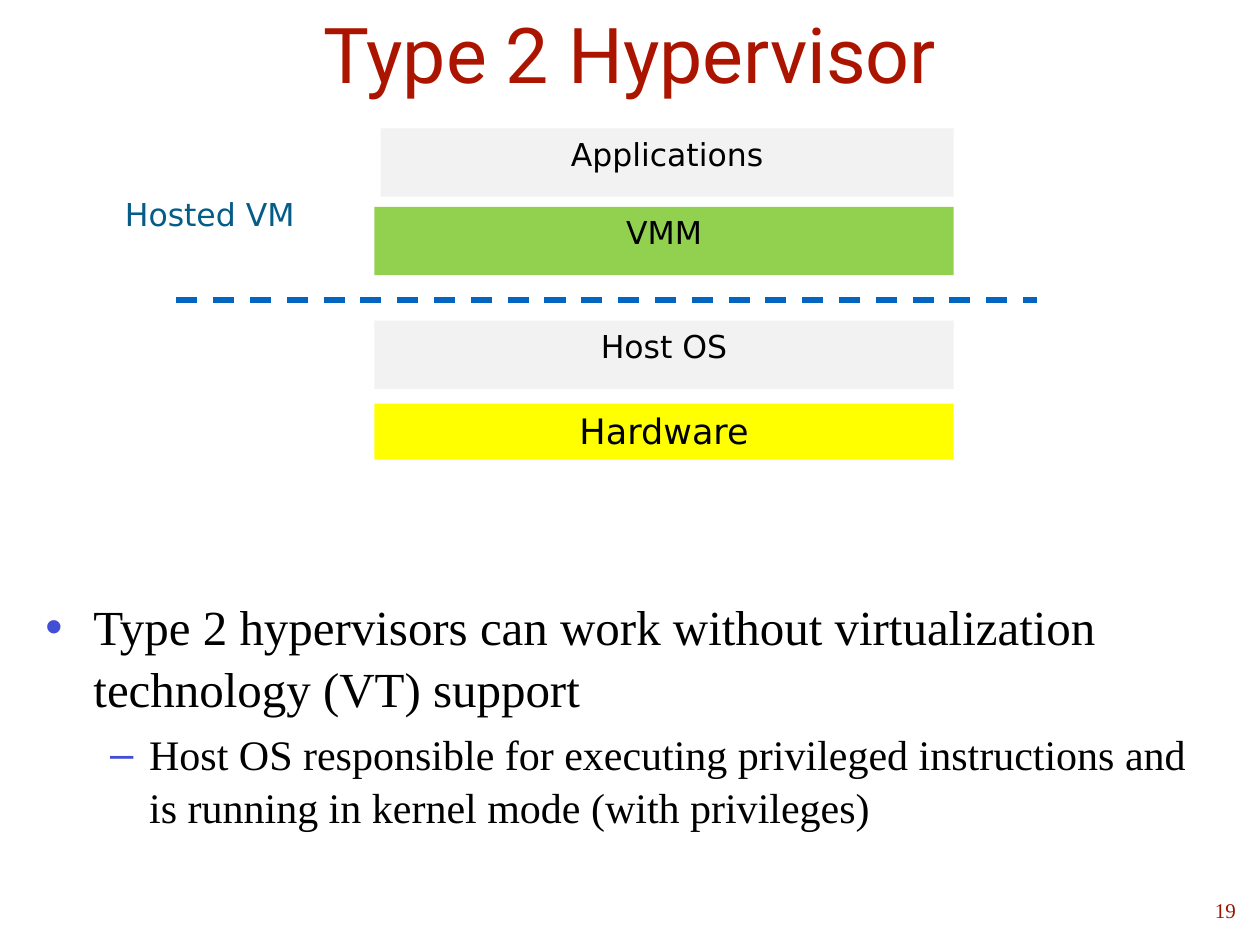
from typing import NamedTuple

from lxml.etree import SubElement
from pptx import Presentation
from pptx.dml.color import RGBColor
from pptx.enum.dml import MSO_LINE
from pptx.enum.shapes import MSO_CONNECTOR, MSO_SHAPE
from pptx.enum.text import MSO_ANCHOR as ANCHOR, MSO_AUTO_SIZE as AUTO_SIZE, PP_ALIGN as ALIGN
from pptx.oxml.ns import qn
from pptx.util import Pt

BLACK = RGBColor(0x00, 0x00, 0x00)
TITLE_RED = RGBColor(0xAB, 0x15, 0x00)
NUMBER_RED = RGBColor(0x9E, 0x13, 0x00)
BULLET_BLUE = RGBColor(0x43, 0x4E, 0xD6)
LABEL_BLUE = RGBColor(0x04, 0x5C, 0x87)
LINE_BLUE = RGBColor(0x03, 0x65, 0xC0)
GREY = RGBColor(0xF2, 0xF2, 0xF2)
GREEN = RGBColor(0x92, 0xD0, 0x50)
YELLOW = RGBColor(0xFF, 0xFF, 0x00)

SANS, SERIF, TITLE_FONT = "DejaVu Sans", "Times New Roman", "Roboto"
INSET = 4.5
STACK_RIGHT = 545


class Layer(NamedTuple):
    text: str
    left: float
    top: float
    height: float
    fill: RGBColor
    size: float = 18


class Bullet(NamedTuple):
    text: str
    level: int
    char: str
    size: float
    margin: float
    indent: float
    before: float


LAYERS = [
    Layer("Applications", 217.5, 73.4, 39, GREY),
    Layer("VMM", 214, 118.2, 39, GREEN),
    Layer("Host OS", 214, 183.2, 39, GREY),
    Layer("Hardware", 214, 230.6, 32, YELLOW, 20),
]
BULLETS = [
    Bullet("Type 2 hypervisors can work without virtualization technology (VT) support",
           0, "•", 28, 30.2, -27.4, 0),
    Bullet("Host OS responsible for executing privileged instructions and "
           "is running in kernel mode (with privileges)",
           1, "–", 24, 62, -22.3, 5),
]


def write(p, text: str, *, size: float, font: str, color: RGBColor, align=ALIGN.CENTER) -> None:
    p.alignment = align
    r = p.add_run()
    r.text = text
    r.font.size, r.font.name = Pt(size), font
    r.font.color.rgb = color


def set_frame(tf, inset: float, anchor=ANCHOR.TOP, wrap: bool = True) -> None:
    tf.auto_size = AUTO_SIZE.NONE
    tf.word_wrap = wrap
    tf.vertical_anchor = anchor
    tf.margin_left = tf.margin_right = tf.margin_top = tf.margin_bottom = Pt(inset)


def place(sp, left: float, top: float, width: float, height: float) -> None:
    sp.left, sp.top, sp.width, sp.height = Pt(left), Pt(top), Pt(width), Pt(height)


def add_layer(shapes, layer: Layer) -> None:
    sp = shapes.add_shape(MSO_SHAPE.RECTANGLE, Pt(layer.left), Pt(layer.top),
                          Pt(STACK_RIGHT - layer.left), Pt(layer.height))
    sp.shadow.inherit = False
    sp.fill.solid()
    sp.fill.fore_color.rgb = layer.fill
    sp.line.fill.background()
    tf = sp.text_frame
    set_frame(tf, 3.6)
    write(tf.paragraphs[0], layer.text, size=layer.size, font=SANS, color=BLACK)


def add_label(shapes, text: str, box: tuple[float, float, float, float], *,
              inset: float, wrap: bool, **fmt) -> None:
    tf = shapes.add_textbox(*map(Pt, box)).text_frame
    set_frame(tf, inset, wrap=wrap)
    write(tf.paragraphs[0], text, **fmt)


def add_divider(shapes, left: float, right: float, y: float) -> None:
    line = shapes.add_connector(MSO_CONNECTOR.STRAIGHT, Pt(left), Pt(y), Pt(right), Pt(y))
    line.line.color.rgb = LINE_BLUE
    line.line.width = Pt(3)
    line.line.dash_style = MSO_LINE.DASH
    SubElement(line._element.spPr, qn("a:effectLst"))


def write_bullet(p, bullet: Bullet) -> None:
    p.level = bullet.level
    pPr = p._p.get_or_add_pPr()
    pPr.set("marL", str(Pt(bullet.margin)))
    pPr.set("indent", str(Pt(bullet.indent)))
    color = SubElement(pPr, qn("a:buClr"))
    SubElement(color, qn("a:srgbClr"), val=str(BULLET_BLUE))
    SubElement(pPr, qn("a:buChar"), char=bullet.char)
    p.line_spacing = 1.05
    p.space_before = Pt(bullet.before)
    write(p, bullet.text, size=bullet.size, font=SERIF, color=BLACK, align=ALIGN.LEFT)


def main() -> None:
    prs = Presentation()
    prs.slide_width, prs.slide_height = Pt(720), Pt(540)
    s = prs.slides.add_slide(prs.slide_layouts[1])
    title, body = s.placeholders

    place(title, 0, 0, 720, 60.5)
    set_frame(title.text_frame, INSET, ANCHOR.MIDDLE)
    write(title.text_frame.paragraphs[0], "Type 2 Hypervisor",
          size=44, font=TITLE_FONT, color=TITLE_RED)

    place(body, 18.7, 334.8, 683.3, 200)
    tf = body.text_frame
    set_frame(tf, INSET)
    for i, bullet in enumerate(BULLETS):
        write_bullet(tf.add_paragraph() if i else tf.paragraphs[0], bullet)

    add_label(s.shapes, "19", (689.8, 508.3, 20.9, 22.3), inset=INSET, wrap=False,
              size=12, font=SERIF, color=NUMBER_RED)
    for layer in LAYERS:
        add_layer(s.shapes, layer)
    add_label(s.shapes, "Hosted VM", (32.4, 108, 175, 28.8), inset=3.6, wrap=True,
              size=18, font=SANS, color=LABEL_BLUE)
    add_divider(s.shapes, 100.8, 592.6, 171.5)
    prs.save("out.pptx")


if __name__ == "__main__":
    main()
